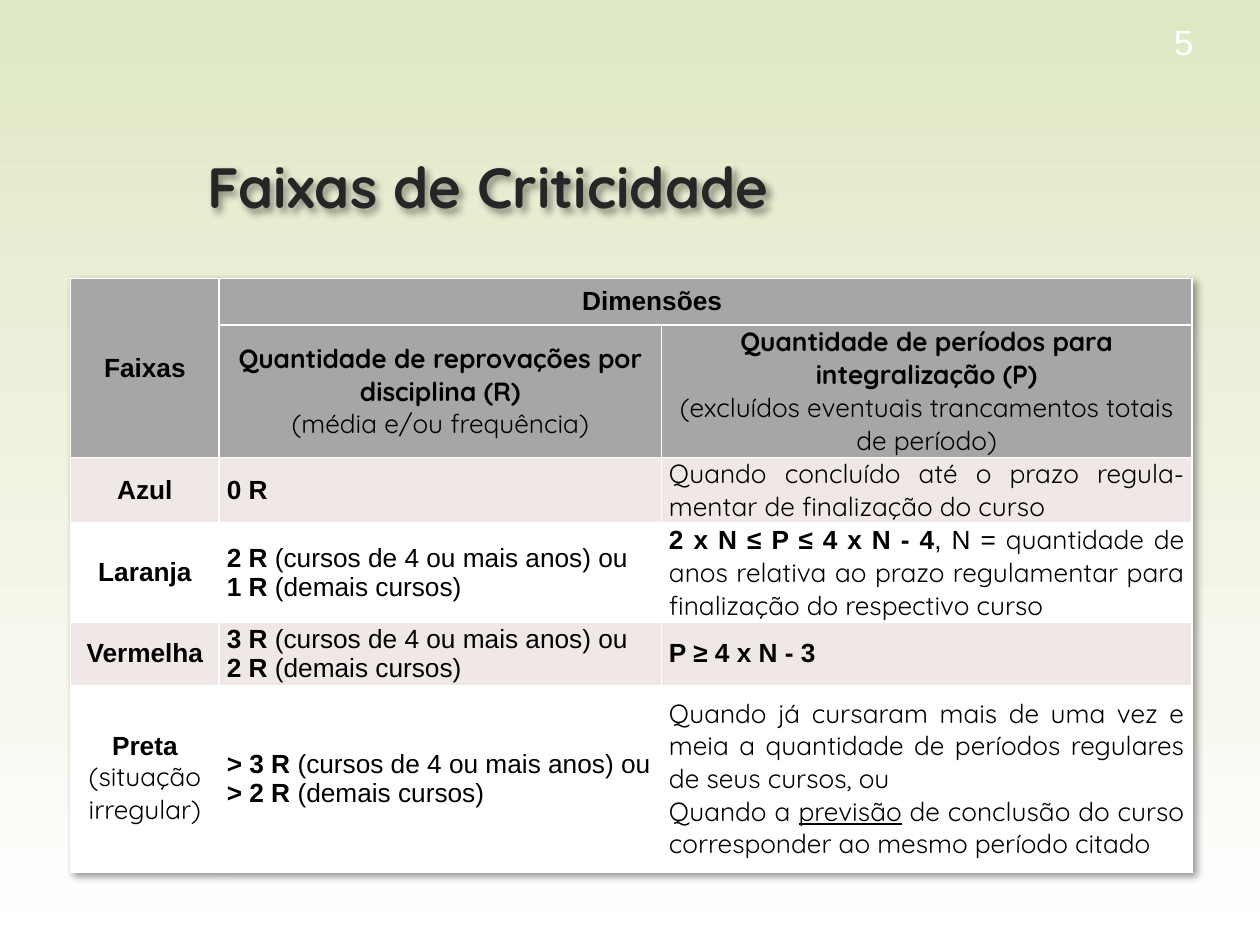
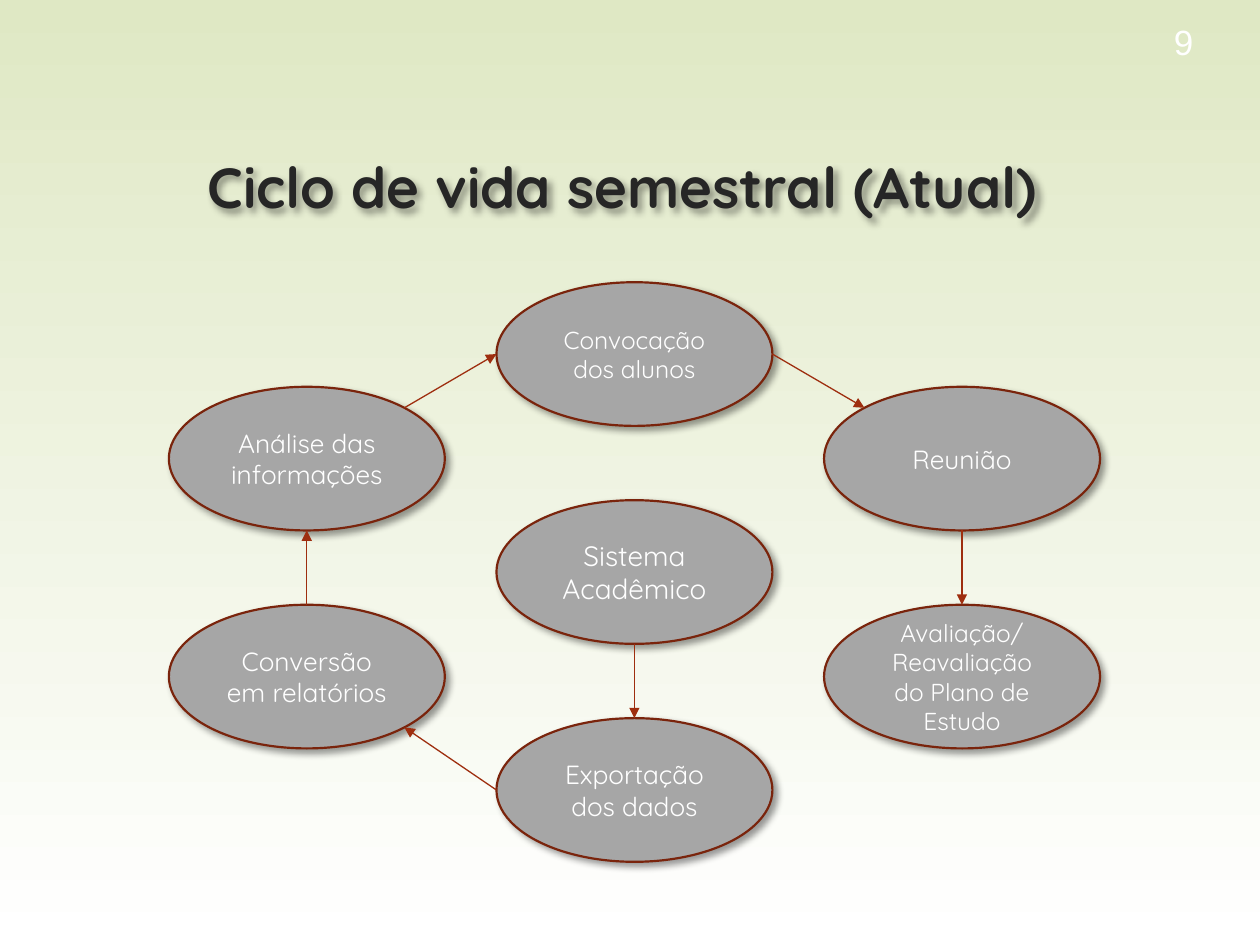
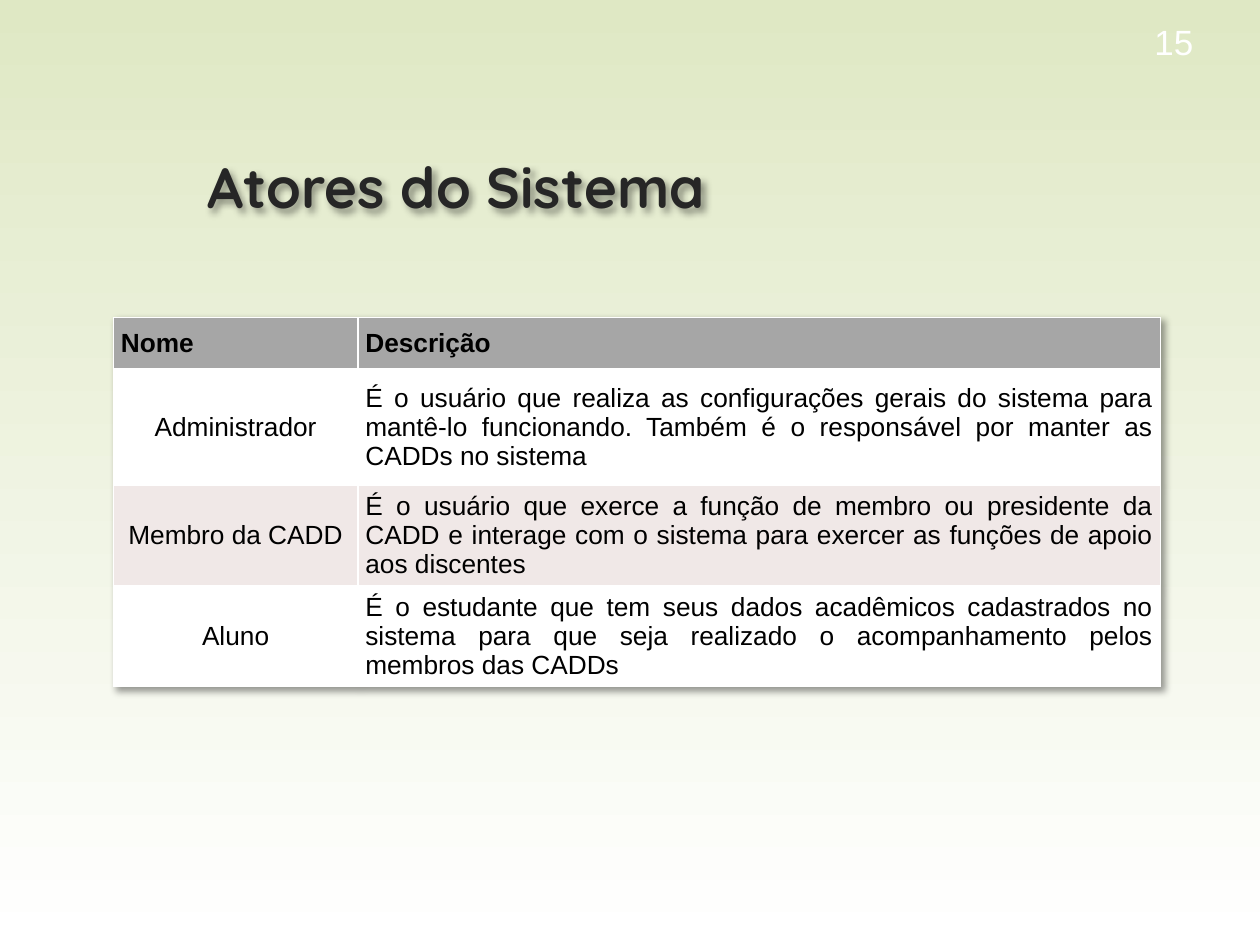
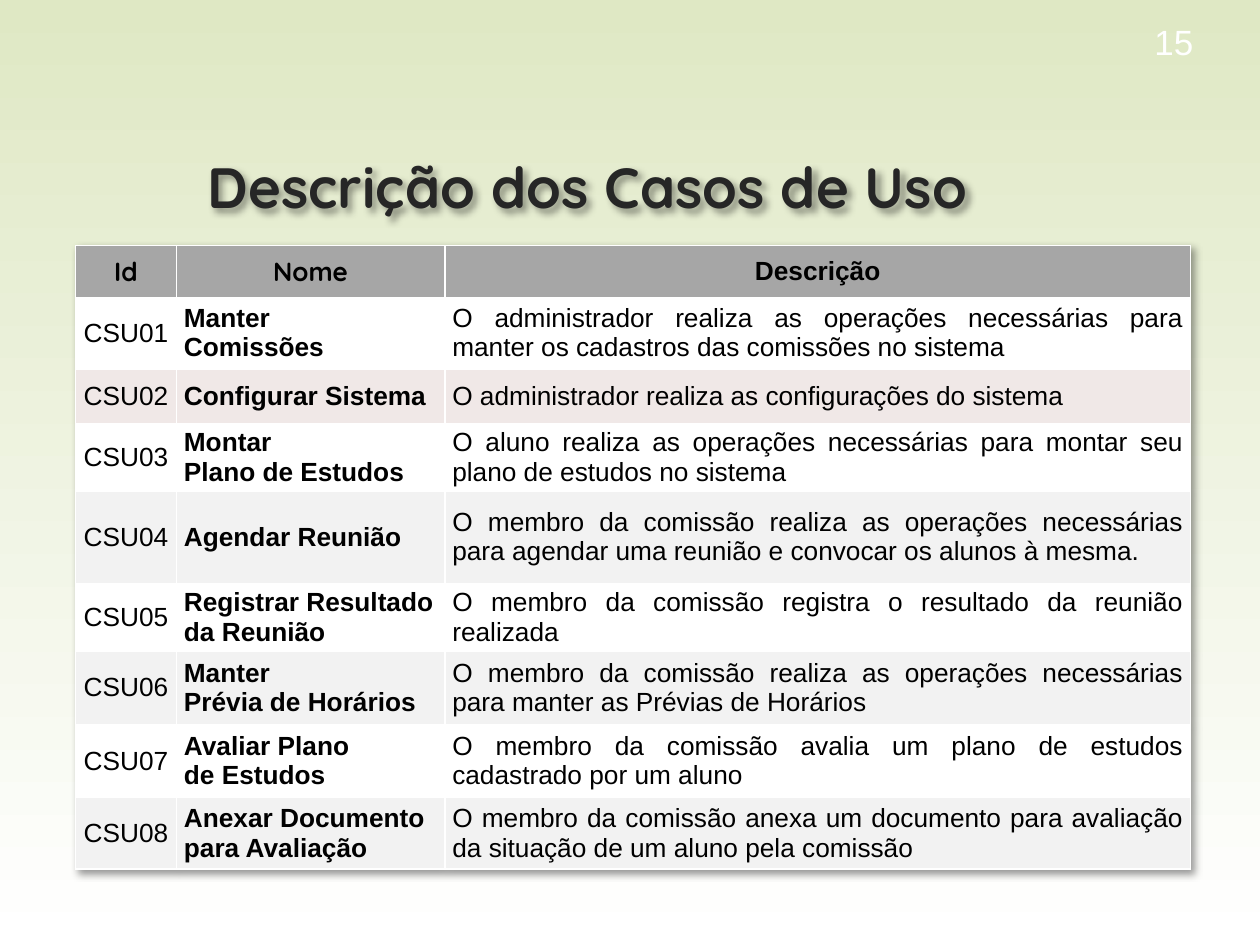
"""Build four slides about student follow-up: bands, cycle, actors and use cases."""
from math import cos, radians, sin

from lxml import etree
from pptx import Presentation
from pptx.dml.color import RGBColor
from pptx.enum.shapes import MSO_CONNECTOR, MSO_SHAPE
from pptx.enum.text import MSO_ANCHOR, PP_ALIGN
from pptx.oxml.ns import qn
from pptx.util import Inches, Pt

STRAIGHT, ELLIPSE, MIDDLE = MSO_CONNECTOR.STRAIGHT, MSO_SHAPE.OVAL, MSO_ANCHOR.MIDDLE
LEFT, CENTER, RIGHT, JUSTIFY = PP_ALIGN.LEFT, PP_ALIGN.CENTER, PP_ALIGN.RIGHT, PP_ALIGN.JUSTIFY

COLORS = {
    "white": "FFFFFF", "green": "DFE8C4", "title": "262626", "black": "000000",
    "gray": "A6A6A6", "rose": "F0E8E7", "pale": "F2F2F2",
    "outline": "7A240C", "arrow": "9E2E0F",
}
BODY_FONT, DISPLAY_FONT = "Arial", "Quicksand"

# In texts, *...* is bold, ~...~ is the display font and _..._ is underlined.
BANDS = {
    "title": "Faixas de Criticidade", "number": 5,
    "position": (0.56, 2.21),
    "columns": [1.18, 3.51, 4.21],
    "heights": [0.37, 1.05, 0.52, 0.79, 0.5, 1.48],
    "fills": ["gray", "gray", "rose", "white", "rose", "white"],
    "header_rows": 2, "header_align": CENTER, "aligns": [CENTER, LEFT, JUSTIFY],
    "merges": [((0, 0), (1, 0)), ((0, 1), (0, 2))],
    "indents": {(0, 1): 2.82},
    "rows": [
        ["*Faixas*", "*Dimensões*", ""],
        ["", "*~Quantidade de reprovações por disciplina (R)~*\n~(média e/ou frequência)~",
         "*~Quantidade de períodos para integralização (P)~*\n"
         "~(excluídos eventuais trancamentos totais de período)~"],
        ["*Azul*", "*0 R*",
         "~Quando concluído até o prazo regula-mentar de finalização do curso~"],
        ["*Laranja*", "*2 R* (cursos de 4 ou mais anos) ou\n*1 R* (demais cursos)",
         "*2 x N ≤ P ≤ 4 x N - 4*, N = ~quantidade de anos relativa ao prazo "
         "regulamentar para finalização do respectivo curso~"],
        ["*Vermelha*", "*3 R* (cursos de 4 ou mais anos) ou\n*2 R* (demais cursos)",
         "*P ≥ 4 x N - 3*"],
        ["*Preta*\n~(situação irregular)~",
         "*> 3 R* (cursos de 4 ou mais anos) ou\n*> 2 R* (demais cursos)",
         "~Quando já cursaram mais de uma vez e meia a quantidade de períodos "
         "regulares de seus cursos, ou~\n"
         "~Quando a _previsão_ de conclusão do curso corresponder ao mesmo período citado~"],
    ],
}

ACTORS = {
    "title": "Atores do Sistema", "number": 15,
    "position": (0.9, 2.52),
    "columns": [1.94, 6.37],
    "heights": [0.41, 0.92, 0.8, 0.8],
    "fills": ["gray", "white", "rose", "white"],
    "header_rows": 1, "header_align": LEFT, "aligns": [CENTER, JUSTIFY],
    "rows": [
        ["*Nome*", "*Descrição*"],
        ["Administrador",
         "É o usuário que realiza as configurações gerais do sistema para mantê-lo "
         "funcionando. Também é o responsável por manter as CADDs no sistema"],
        ["Membro da CADD",
         "É o usuário que exerce a função de membro ou presidente da CADD e interage "
         "com o sistema para exercer as funções de apoio aos discentes"],
        ["Aluno",
         "É o estudante que tem seus dados acadêmicos cadastrados no sistema para que "
         "seja realizado o acompanhamento pelos membros das CADDs"],
    ],
}

USE_CASES = {
    "title": "Descrição dos Casos de Uso", "number": 15,
    "position": (0.6, 1.95),
    "columns": [0.8, 2.13, 5.92],
    "heights": [0.41, 0.57, 0.43, 0.54, 0.73, 0.54, 0.58, 0.58, 0.57],
    "fills": ["gray", "white", "rose", "white", "pale", "white", "pale", "white", "pale"],
    "header_rows": 1, "header_align": CENTER, "aligns": [CENTER, JUSTIFY, JUSTIFY],
    "rows": [
        ["*~Id~*", "*~Nome~*", "*Descrição*"],
        ["CSU01", "*Manter*\n*Comissões*",
         "O administrador realiza as operações necessárias para manter os cadastros "
         "das comissões no sistema"],
        ["CSU02", "*Configurar Sistema*",
         "O administrador realiza as configurações do sistema"],
        ["CSU03", "*Montar*\n*Plano de Estudos*",
         "O aluno realiza as operações necessárias para montar seu plano de estudos "
         "no sistema"],
        ["CSU04", "*Agendar Reunião*",
         "O membro da comissão realiza as operações necessárias para agendar uma "
         "reunião e convocar os alunos à mesma."],
        ["CSU05", "*Registrar Resultado*\n*da Reunião*",
         "O membro da comissão registra o resultado da reunião realizada"],
        ["CSU06", "*Manter*\n*Prévia de Horários*",
         "O membro da comissão realiza as operações necessárias para manter as "
         "Prévias de Horários"],
        ["CSU07", "*Avaliar Plano*\n*de Estudos*",
         "O membro da comissão avalia um plano de estudos cadastrado por um aluno"],
        ["CSU08", "*Anexar Documento*\n*para Avaliação*",
         "O membro da comissão anexa um documento para avaliação da situação de um "
         "aluno pela comissão"],
    ],
}

CYCLE = {
    "title": "Ciclo de vida semestral (Atual)", "number": 9,
    "stages": {
        "system": ("Sistema Acadêmico", 16, 1, 1),
        "export": ("Exportação dos dados", 15, 1, 2),
        "reports": ("Conversão em relatórios", 15, 0, 1),
        "analysis": ("Análise das informações", 15, 0, 0),
        "call": ("Convocação dos alunos", 14, 1, 0),
        "meeting": ("Reunião", 15, 2, 0),
        "evaluation": ("Avaliação/\nReavaliação do Plano de Estudo", 14, 2, 1),
    },
    "arrows": [
        ("system", "bottom", "export", "top"),
        ("export", "left", "reports", "bottom right"),
        ("reports", "top", "analysis", "bottom"),
        ("analysis", "top right", "call", "left"),
        ("call", "right", "meeting", "top left"),
        ("meeting", "bottom", "evaluation", "top"),
    ],
}
STAGE_WIDTH, STAGE_HEIGHT = 2.19, 1.14
STAGE_LEFT, COLUMN_STEP, ROW_STEP = 1.34, 2.6, 1.73
COLUMN_TOPS = [3.07, 2.24, 3.07]
ELLIPSE_SITES = ["top", "top left", "left", "bottom left",
                 "bottom", "bottom right", "right", "top right"]


def color(name):
    return RGBColor.from_string(COLORS[name])


def styled_runs(line):
    for bold, bold_part in enumerate(line.split("*")):
        for display, display_part in enumerate(bold_part.split("~")):
            for underline, text in enumerate(display_part.split("_")):
                if text:
                    yield text, bold % 2 == 1, display % 2 == 1, underline % 2 == 1


def write_text(frame, text, *, size=15, font=BODY_FONT, ink="black", align=LEFT, indent=0):
    frame.word_wrap = True
    for index, line in enumerate(text.split("\n")):
        paragraph = frame.add_paragraph() if index else frame.paragraphs[0]
        paragraph.alignment = align
        if indent:
            paragraph._p.get_or_add_pPr().set("marL", str(Inches(indent)))
        for words, bold, display, underline in styled_runs(line):
            run = paragraph.add_run()
            run.text = words
            run.font.size = Pt(size)
            run.font.name = DISPLAY_FONT if display else font
            run.font.bold = bold
            run.font.underline = underline
            run.font.color.rgb = color(ink)


def add_shadow(effects):
    shadow = etree.SubElement(effects, qn("a:outerShdw"), blurRad=str(Pt(4)),
                              dist=str(Pt(3)), dir="2700000", algn="tl", rotWithShape="0")
    tint = etree.SubElement(shadow, qn("a:srgbClr"), val=COLORS["black"])
    etree.SubElement(tint, qn("a:alpha"), val="40000")


def shade_shape(shape):
    shape.shadow.inherit = False
    add_shadow(shape._element.spPr.find(qn("a:effectLst")))


def add_text_box(slide, box, text, **text_format):
    shape = slide.shapes.add_textbox(*map(Inches, box))
    frame = shape.text_frame
    frame.margin_top = frame.margin_bottom = 0
    frame.vertical_anchor = MIDDLE
    write_text(frame, text, **text_format)
    return shape


def add_base_slide(presentation, content):
    slide = presentation.slides.add_slide(presentation.slide_layouts[6])
    fill = slide.background.fill
    fill.gradient()
    fill.gradient_angle = 90
    for stop, position, name in zip(fill.gradient_stops, (0, 1), ("white", "green")):
        stop.position = position
        stop.color.rgb = color(name)
    title = add_text_box(slide, (1.55, 1.19, 7.05, 0.57), f"*{content['title']}*",
                         size=32.4, font=DISPLAY_FONT, ink="title")
    shade_shape(title)
    add_text_box(slide, (8.5, 0.08, 1.07, 0.5), str(content["number"]),
                 size=20, ink="white", align=RIGHT)
    return slide


def format_cell(cell, fill_name):
    cell.margin_left = cell.margin_right = Inches(0.06)
    cell.margin_top = cell.margin_bottom = 0
    cell.vertical_anchor = MIDDLE
    properties = cell._tc.get_or_add_tcPr()
    for side in ("lnL", "lnR", "lnT", "lnB"):
        line = etree.SubElement(properties, qn(f"a:{side}"), w=str(Pt(1)))
        line_fill = etree.SubElement(line, qn("a:solidFill"))
        etree.SubElement(line_fill, qn("a:srgbClr"), val=COLORS["white"])
    cell.fill.solid()
    cell.fill.fore_color.rgb = color(fill_name)


def add_table_slide(presentation, content):
    slide = add_base_slide(presentation, content)
    rows, widths, heights = content["rows"], content["columns"], content["heights"]
    box = (*content["position"], sum(widths), sum(heights))
    table = slide.shapes.add_table(len(rows), len(widths), *map(Inches, box)).table
    table.horz_banding = False
    effects = etree.Element(qn("a:effectLst"))
    table._tbl.tblPr.insert(0, effects)
    add_shadow(effects)
    for column, width in zip(table.columns, widths):
        column.width = Inches(width)
    for row, height in zip(table.rows, heights):
        row.height = Inches(height)
    for first, last in content.get("merges", []):
        table.cell(*first).merge(table.cell(*last))
    indents = content.get("indents", {})
    for row_index, texts in enumerate(rows):
        for column_index, text in enumerate(texts):
            place = (row_index, column_index)
            cell = table.cell(*place)
            format_cell(cell, content["fills"][row_index])
            align = content["aligns"][column_index]
            if row_index < content["header_rows"]:
                align = LEFT if place in indents else content["header_align"]
            if text:
                write_text(cell.text_frame, text, align=align, indent=indents.get(place, 0))


def add_stage(slide, text, size, column, row):
    left = STAGE_LEFT + column * COLUMN_STEP
    top = COLUMN_TOPS[column] + row * ROW_STEP
    stage = slide.shapes.add_shape(
        ELLIPSE, *map(Inches, (left, top, STAGE_WIDTH, STAGE_HEIGHT)))
    stage.fill.solid()
    stage.fill.fore_color.rgb = color("gray")
    stage.line.color.rgb = color("outline")
    stage.line.width = Pt(1.25)
    shade_shape(stage)
    stage.text_frame.vertical_anchor = MIDDLE
    write_text(stage.text_frame, text, size=size, font=DISPLAY_FONT, ink="white", align=CENTER)
    return stage


def site_point(stage, site):
    angle = radians(90 + 45 * ELLIPSE_SITES.index(site))
    return (int(stage.left + stage.width / 2 * (1 + cos(angle))),
            int(stage.top + stage.height / 2 * (1 - sin(angle))))


def add_arrow(slide, start, start_site, end, end_site):
    arrow = slide.shapes.add_connector(
        STRAIGHT, *site_point(start, start_site), *site_point(end, end_site))
    arrow.line.color.rgb = color("arrow")
    arrow.line.width = Pt(0.75)
    etree.SubElement(arrow.line._get_or_add_ln(), qn("a:tailEnd"), type="triangle")
    etree.SubElement(arrow._element.spPr, qn("a:effectLst"))
    joints = arrow._element.nvCxnSpPr.cNvCxnSpPr
    for tag, stage, site in (("a:stCxn", start, start_site), ("a:endCxn", end, end_site)):
        etree.SubElement(joints, qn(tag), id=str(stage.shape_id),
                         idx=str(ELLIPSE_SITES.index(site)))


def add_cycle_slide(presentation, content):
    slide = add_base_slide(presentation, content)
    stages = {name: add_stage(slide, *stage) for name, stage in content["stages"].items()}
    for start, start_site, end, end_site in content["arrows"]:
        add_arrow(slide, stages[start], start_site, stages[end], end_site)


def main():
    presentation = Presentation()
    presentation.slide_width, presentation.slide_height = Inches(10), Inches(7.5)
    add_table_slide(presentation, BANDS)
    add_cycle_slide(presentation, CYCLE)
    add_table_slide(presentation, ACTORS)
    add_table_slide(presentation, USE_CASES)
    presentation.save("out.pptx")


if __name__ == "__main__":
    main()
